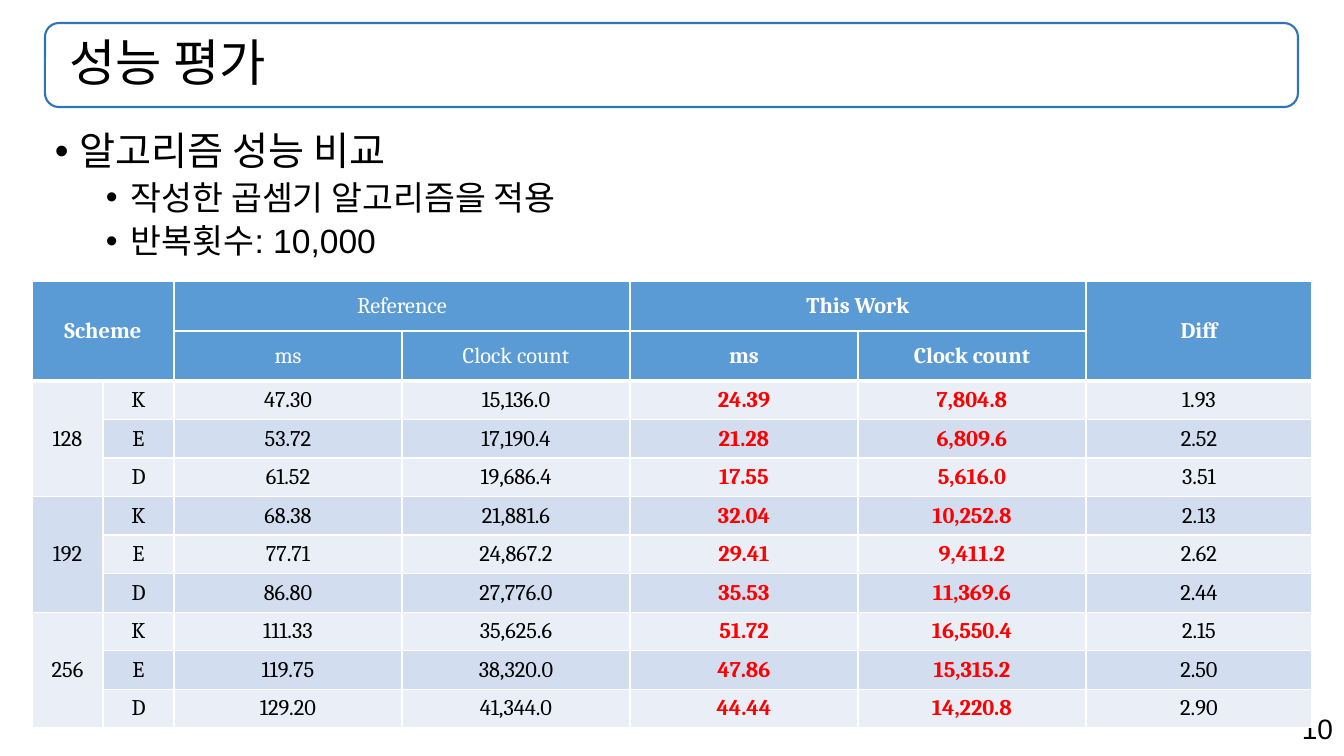
from lxml import etree
from pptx import Presentation
from pptx.dml.color import RGBColor
from pptx.enum.shapes import MSO_SHAPE
from pptx.enum.text import MSO_ANCHOR, PP_ALIGN
from pptx.oxml.ns import qn
from pptx.util import Pt

ROUNDED = MSO_SHAPE.ROUNDED_RECTANGLE
MIDDLE = MSO_ANCHOR.MIDDLE
LEFT, CENTER, RIGHT = PP_ALIGN.LEFT, PP_ALIGN.CENTER, PP_ALIGN.RIGHT

EMU_PER_PX = 914400 / 100.8
BLACK, WHITE, RED = "000000", "FFFFFF", "FF0000"
FRAME_BLUE, HEADER_BLUE = "2E75B6", "5B9BD5"
BANDS = ("EAEFF7", "D2DEEF")

TITLE_BOX = (45, 23, 1253, 84)
BODY_BOX = (45, 127, 1253, 557)
NUMBER_BOX = (950, 707, 393, 44)
TABLE_BOX = (32, 281, 1280, 447)

BULLETS = [
    (0, "알고리즘 성능 비교"),
    (1, "작성한 곱셈기 알고리즘을 적용"),
    (1, "반복횟수: 10,000"),
]
BULLET_LEVELS = [
    {"indent": 25, "size": 28, "before": 0},
    {"indent": 76, "size": 24, "before": 5},
]
HANGING = 25

COLUMN_WIDTHS = (71, 71, 228, 228, 228, 228, 226)
HEADER_ROW_HEIGHT = 50
HEADER_ROWS = [
    ("Scheme", "", "Reference", "", "This Work", "", "Diff"),
    ("", "", "ms", "Clock count", "ms", "Clock count", ""),
]
RESULTS = [
    ("128", "K", "47.30", "15,136.0", "24.39", "7,804.8", "1.93"),
    ("", "E", "53.72", "17,190.4", "21.28", "6,809.6", "2.52"),
    ("", "D", "61.52", "19,686.4", "17.55", "5,616.0", "3.51"),
    ("192", "K", "68.38", "21,881.6", "32.04", "10,252.8", "2.13"),
    ("", "E", "77.71", "24,867.2", "29.41", "9,411.2", "2.62"),
    ("", "D", "86.80", "27,776.0", "35.53", "11,369.6", "2.44"),
    ("256", "K", "111.33", "35,625.6", "51.72", "16,550.4", "2.15"),
    ("", "E", "119.75", "38,320.0", "47.86", "15,315.2", "2.50"),
    ("", "D", "129.20", "41,344.0", "44.44", "14,220.8", "2.90"),
]
MERGES = [((0, 0), (1, 1)), ((0, 2), (0, 3)), ((0, 4), (0, 5)), ((0, 6), (1, 6))]
MERGES += [((row, 0), (row + 2, 0)) for row in (2, 5, 8)]
REFERENCE_COLUMNS = (2, 3)
THIS_WORK_COLUMNS = (4, 5)


def px(length):
    """Turn pixels into EMU."""
    return round(length * EMU_PER_PX)


def color(hex_value):
    """Turn a hex string into a colour."""
    return RGBColor.from_string(hex_value)


def apply_format(target, values):
    """Set each named attribute on the target."""
    for name, value in values.items():
        setattr(target, name, value)


def format_font(font, size, hex_value=BLACK, name="Arial", bold=False):
    """Set typeface, size, weight and colour."""
    apply_format(font, {"name": name, "size": Pt(size), "bold": bold})
    font.color.rgb = color(hex_value)


def add_title(slide, box):
    """Place the title and its rounded frame in the box."""
    left, top, width, height = map(px, box)
    frame = slide.shapes.add_shape(ROUNDED, left, top, width, height)
    frame.shadow.inherit = False
    frame.fill.background()
    frame.line.color.rgb = color(FRAME_BLUE)
    frame.line.width = Pt(1.5)

    title = slide.shapes.title
    apply_format(title, {"left": left, "top": top, "width": width, "height": height})
    apply_format(title.text_frame, {
        "text": "성능 평가", "vertical_anchor": MIDDLE, "word_wrap": True,
        "margin_left": px(24), "margin_right": px(10),
        "margin_top": px(5), "margin_bottom": px(5)})
    paragraph = title.text_frame.paragraphs[0]
    apply_format(paragraph, {"alignment": LEFT, "line_spacing": 0.9})
    format_font(paragraph.font, 36)


def add_bullets(slide, box):
    """Place the bulleted text in the box."""
    text_frame = slide.shapes.add_textbox(*map(px, box)).text_frame
    text_frame.word_wrap = True
    for index, (level, text) in enumerate(BULLETS):
        paragraph = text_frame.add_paragraph() if index else text_frame.paragraphs[0]
        style = BULLET_LEVELS[level]
        properties = paragraph._p.get_or_add_pPr()
        properties.set("marL", str(px(style["indent"])))
        properties.set("indent", str(-px(HANGING)))
        etree.SubElement(properties, qn("a:buFont")).set("typeface", "Arial")
        etree.SubElement(properties, qn("a:buChar")).set("char", "•")
        apply_format(paragraph, {
            "text": text, "level": level, "line_spacing": 0.9,
            "space_before": Pt(style["before"])})
        format_font(paragraph.font, style["size"])


def add_slide_number(slide, box):
    """Place the slide number at the right of the box."""
    text_frame = slide.shapes.add_textbox(*map(px, box)).text_frame
    text_frame.word_wrap = True
    paragraph = text_frame.paragraphs[0]
    apply_format(paragraph, {"text": "10", "alignment": RIGHT})
    format_font(paragraph.font, 20)


def set_borders(cell, widths):
    """Draw white cell borders from a dict of side to points."""
    properties = cell._tc.get_or_add_tcPr()
    for side, width in widths.items():
        line = etree.SubElement(properties, qn(f"a:ln{side}"), w=str(Pt(width)))
        fill = etree.SubElement(line, qn("a:solidFill"))
        etree.SubElement(fill, qn("a:srgbClr"), val=WHITE)


def format_cell(cell, row, column, text):
    """Fill one cell according to its row and column."""
    is_header = row < len(HEADER_ROWS)
    is_this_work = column in THIS_WORK_COLUMNS
    if is_header:
        fill, text_color, bold = HEADER_BLUE, WHITE, column not in REFERENCE_COLUMNS
    else:
        fill, text_color, bold = BANDS[row % 2], RED if is_this_work else BLACK, is_this_work
    set_borders(cell, {"L": 1, "R": 1, "T": 3 if row == 2 else 1, "B": 3 if row == 1 else 1})
    cell.fill.solid()
    cell.fill.fore_color.rgb = color(fill)
    apply_format(cell, {
        "vertical_anchor": MIDDLE, "margin_left": px(5), "margin_right": px(5),
        "margin_top": 0, "margin_bottom": 0})
    paragraph = cell.text_frame.paragraphs[0]
    apply_format(paragraph, {"text": text, "alignment": CENTER})
    format_font(paragraph.font, 16, text_color, "Cambria", bold)


def add_results_table(slide, box):
    """Place the performance table in the box."""
    rows = HEADER_ROWS + RESULTS
    shape = slide.shapes.add_table(len(rows), len(COLUMN_WIDTHS), *map(px, box))
    table = shape.table
    apply_format(table, {"first_row": False, "horz_banding": False})
    for column, width in zip(table.columns, COLUMN_WIDTHS):
        column.width = px(width)
    result_height = (box[3] - HEADER_ROW_HEIGHT * len(HEADER_ROWS)) / len(RESULTS)
    for row, values in enumerate(rows):
        is_header = row < len(HEADER_ROWS)
        table.rows[row].height = px(HEADER_ROW_HEIGHT if is_header else result_height)
        for column, text in enumerate(values):
            format_cell(table.cell(row, column), row, column, text)
    for first, last in MERGES:
        table.cell(*first).merge(table.cell(*last))


def main():
    """Build the slide and save it."""
    presentation = Presentation()
    apply_format(presentation, {"slide_width": px(1344), "slide_height": px(756)})
    slide = presentation.slides.add_slide(presentation.slide_layouts[5])
    add_slide_number(slide, NUMBER_BOX)
    add_title(slide, TITLE_BOX)
    add_bullets(slide, BODY_BOX)
    add_results_table(slide, TABLE_BOX)
    presentation.save("out.pptx")


if __name__ == "__main__":
    main()
